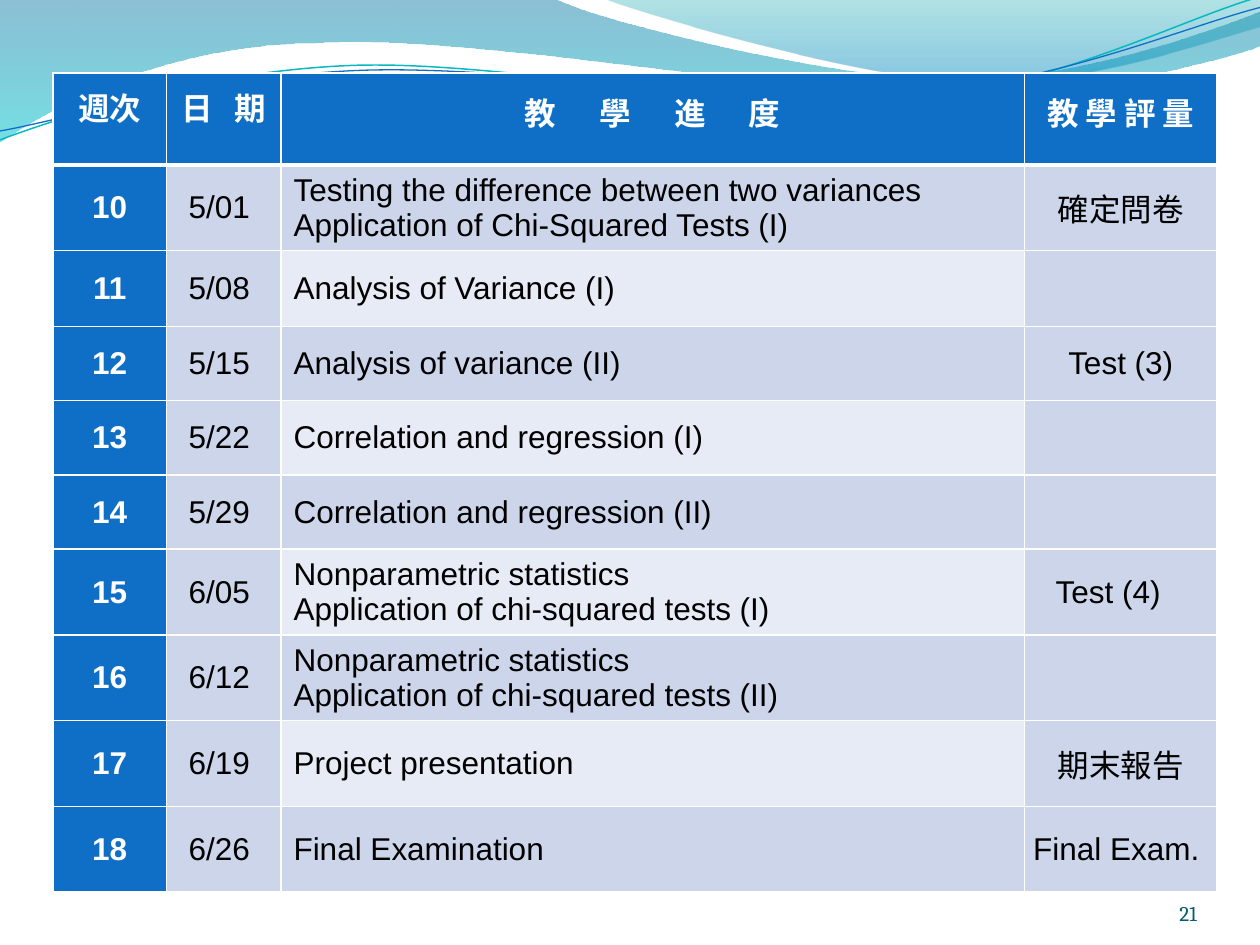
"""Build a course schedule slide with a wave header and a weekly table."""
import math
from dataclasses import dataclass

import lxml.etree
import pptx
import pptx.dml.color
import pptx.enum.text
import pptx.oxml
import pptx.oxml.ns
import pptx.util
from pptx.util import Inches

COLORS = {
    "header": "0F6FC6", "band": "CCD5EA", "light": "E7EBF5",
    "white": "FFFFFF", "text": "000000", "number": "045D75",
    "teal_line": "0AB8BF", "blue_line": "0F6FC6",
}
ALIGN = pptx.enum.text.PP_ALIGN
ANCHOR = pptx.enum.text.MSO_ANCHOR


@dataclass
class Stop:
    position: float
    color: str
    alpha: int


@dataclass
class Ribbon:
    segments: list
    stops: tuple


@dataclass
class WaveLine:
    segments: list
    center: tuple
    color: str
    width: float


@dataclass
class Heading:
    text: str
    leading: int
    gap: float = 0


@dataclass
class Week:
    number: str
    date: str
    topics: tuple
    assessment: str = ""
    right_margin: float = 0.01


RIBBONS = [
    Ribbon([(0, -0.01), (4.4, -0.01),
            (4.76, 0.17, 6.64, 0.63, 7.58, 0.63), (8.53, 0.63, 9.58, 0.26, 10, 0.09),
            (10.01, 0.36), (9.83, 0.44, 8.7, 0.76, 7.46, 0.75),
            (6.22, 0.75, 3.82, 0.28, 2.57, 0.34), (1.29, 0.35, 0.46, 0.83, -0.01, 1.13)],
           (Stop(0, "0074A1", 45), Stop(1, "00C6CF", 55))),
    Ribbon([(4.79, -0.01), (5.09, 0.11, 6.82, 0.62, 7.69, 0.65),
            (8.56, 0.69, 9.61, 0.32, 10, 0.21), (10, 0)],
           (Stop(0, "00A1A9", 30), Stop(0.8, "008BBF", 45))),
]
WAVE_ROTATION = 357.3
WAVE_LINES = [
    WaveLine([(0, 1.11), (0.48, 0.93, 1.58, 0.57, 2.77, 0.52),
              (3.95, 0.47, 5.93, 0.89, 7.13, 0.8), (8.33, 0.71, 9.38, 0.15, 9.98, -0.02)],
             (4.99, 0.58), COLORS["teal_line"], 0.85),
    WaveLine([(0, 1.04), (0.47, 0.96, 1.64, 0.61, 2.83, 0.56),
              (4.03, 0.51, 5.97, 0.83, 7.17, 0.75), (8.36, 0.67, 9.41, 0.21, 10, 0.06)],
             (5, 0.59), COLORS["blue_line"], 0.75),
]
HEADINGS = [Heading("週次", 12), Heading("日 期", 12, 4.1),
            Heading("教 學 進 度", 18, 10.3), Heading("教 學 評 量", 18)]
WEEKS = [
    Week("10", "5/01 ", ("Testing the difference between two variances",
                         "Application of Chi-Squared Tests (I)"), "確定問卷"),
    Week("11", "5/08 ", ("Analysis of Variance (I)",)),
    Week("12", "5/15 ", ("Analysis of variance (II)",), "Test (3)"),
    Week("13", "5/22 ", ("Correlation and regression (I)",)),
    Week("14", "5/29 ", ("Correlation and regression (II)",)),
    Week("15", "6/05 ", ("Nonparametric statistics\nApplication of chi-squared tests (I)",),
         "Test (4)", 0.21),
    Week("16", "6/12 ", ("Nonparametric statistics\nApplication of chi-squared tests (II)",)),
    Week("17", "6/19 ", ("Project presentation",), "期末報告"),
    Week("18", "6/26 ", ("Final Examination",), "Final Exam. "),
]
COLUMN_WIDTHS = [0.9, 0.91, 5.9, 1.53]
ROW_HEIGHTS = [0.73, 0.68, 0.6] + [0.59] * 3 + [0.68] * 4


def rgb(color: str) -> pptx.dml.color.RGBColor:
    return pptx.dml.color.RGBColor.from_string(color)


def turn(point: tuple, center: tuple, degrees: float) -> tuple:
    angle = math.radians(degrees)
    dx, dy = point[0] - center[0], point[1] - center[1]
    return (center[0] + dx * math.cos(angle) - dy * math.sin(angle),
            center[1] + dx * math.sin(angle) + dy * math.cos(angle))


def add_outline(slide, segments: list, close: bool, center: tuple = (0, 0),
                rotation: float = 0):
    """Draw line and cubic segments as one freeform turned about its center."""
    points = [turn(segment[i:i + 2], center, -rotation)
              for segment in segments for i in range(0, len(segment), 2)]
    start, *others = [(Inches(x), Inches(y)) for x, y in points]
    builder = slide.shapes.build_freeform(*start)
    builder.add_line_segments(others, close=close)
    outline = builder.convert_to_shape()
    qn = pptx.oxml.ns.qn
    lines = iter(list(outline._element.iter(qn("a:lnTo"))))
    for segment in segments[1:]:
        first = next(lines)
        if len(segment) == 6:
            curve = lxml.etree.Element(qn("a:cubicBezTo"))
            first.addprevious(curve)
            for line in (first, next(lines), next(lines)):
                curve.append(line[0])
                line.getparent().remove(line)
    outline.shadow.inherit = False
    outline.rotation = rotation
    return outline


def add_ribbon(slide, ribbon: Ribbon) -> None:
    shape = add_outline(slide, ribbon.segments, True)
    shape.line.fill.background()
    shape.fill.gradient()
    shape.fill.gradient_angle = 270
    for target, stop in zip(shape.fill.gradient_stops, ribbon.stops):
        target.position = stop.position
        target.color.rgb = rgb(stop.color)
    colors = shape._element.spPr.iter(pptx.oxml.ns.qn("a:srgbClr"))
    for color, stop in zip(list(colors), ribbon.stops):
        color.append(pptx.oxml.parse_xml(
            f'<a:alpha {pptx.oxml.ns.nsdecls("a")} val="{stop.alpha * 1000}"/>'))


def add_wave_line(slide, wave: WaveLine) -> None:
    shape = add_outline(slide, wave.segments, False, wave.center, WAVE_ROTATION)
    shape.fill.background()
    shape.line.color.rgb = rgb(wave.color)
    shape.line.width = pptx.util.Pt(wave.width)


def add_run(paragraph, text: str, color: str, bold: bool = False,
            size: float = 18, font: str = "Arial", gap: float = 0) -> None:
    run = paragraph.add_run()
    run.text = text
    run.font.size = pptx.util.Pt(size)
    run.font.name = font
    run.font.bold = bold
    run.font.color.rgb = rgb(color)
    if gap:
        run._r.get_or_add_rPr().set("spc", str(round(gap * 100)))


def style_cell(cell, fill: str, top: int = 1, bottom: int = 1, right: float = 0.01) -> None:
    properties = cell._tc.get_or_add_tcPr()
    for side, width in zip("LRTB", (1, 1, top, bottom)):
        properties.append(pptx.oxml.parse_xml(
            f'<a:ln{side} {pptx.oxml.ns.nsdecls("a")} w="{width * 12700}"><a:solidFill>'
            f'<a:srgbClr val="{COLORS["white"]}"/></a:solidFill></a:ln{side}>'))
    cell.fill.solid()
    cell.fill.fore_color.rgb = rgb(fill)
    cell.vertical_anchor = ANCHOR.MIDDLE
    cell.margin_left, cell.margin_right = Inches(0.01), Inches(right)
    cell.margin_top = cell.margin_bottom = 0


def write_cell(cell, paragraphs: tuple, color: str, bold: bool = False,
               indent: float = 0) -> None:
    frame = cell.text_frame
    for index, text in enumerate(paragraphs):
        paragraph = frame.add_paragraph() if index else frame.paragraphs[0]
        if indent:
            paragraph._p.get_or_add_pPr().set("marL", str(Inches(indent)))
        else:
            paragraph.alignment = ALIGN.CENTER
        for number, line in enumerate(text.split("\n")):
            if number:
                paragraph.add_line_break()
            add_run(paragraph, line, color, bold)


def write_heading(cell, heading: Heading) -> None:
    style_cell(cell, COLORS["header"], bottom=3)
    paragraph = cell.text_frame.paragraphs[0]
    paragraph.alignment = ALIGN.CENTER
    paragraph.line_spacing = pptx.util.Pt(heading.leading)
    add_run(paragraph, heading.text[:-1], COLORS["white"], True, gap=heading.gap)
    add_run(paragraph, heading.text[-1], COLORS["white"], True)


def write_week(cells: list, week: Week, index: int) -> None:
    topic_fill = COLORS["light" if index % 2 else "band"]
    fills = [COLORS["header"], COLORS["band"], topic_fill, COLORS["band"]]
    margins = [0.01, 0.01, 0.01, week.right_margin]
    for cell, fill, margin in zip(cells, fills, margins):
        style_cell(cell, fill, top=1 if index else 3, right=margin)
    write_cell(cells[0], (week.number,), COLORS["white"], True)
    write_cell(cells[1], (week.date,), COLORS["text"])
    write_cell(cells[2], week.topics, COLORS["text"], indent=0.09)
    if week.assessment:
        write_cell(cells[3], (week.assessment,), COLORS["text"])


def add_schedule(slide) -> None:
    schedule = slide.shapes.add_table(
        len(ROW_HEIGHTS), len(COLUMN_WIDTHS), Inches(0.42), Inches(0.58),
        Inches(sum(COLUMN_WIDTHS)), Inches(sum(ROW_HEIGHTS))).table
    schedule.horz_banding = False
    for column, width in zip(schedule.columns, COLUMN_WIDTHS):
        column.width = Inches(width)
    for row, height in zip(schedule.rows, ROW_HEIGHTS):
        row.height = Inches(height)
    heading_row, *week_rows = [list(row.cells) for row in schedule.rows]
    for cell, heading in zip(heading_row, HEADINGS):
        write_heading(cell, heading)
    for index, (cells, week) in enumerate(zip(week_rows, WEEKS)):
        write_week(cells, week, index)


def add_page_number(slide, number: str) -> None:
    frame = slide.shapes.add_textbox(
        Inches(8.67), Inches(6.95), Inches(0.83), Inches(0.4)).text_frame
    frame.word_wrap = True
    frame.vertical_anchor = ANCHOR.BOTTOM
    frame.margin_left = frame.margin_right = frame.margin_top = frame.margin_bottom = 0
    frame.paragraphs[0].alignment = ALIGN.RIGHT
    add_run(frame.paragraphs[0], number, COLORS["number"], size=12, font="Cambria")


def main() -> None:
    deck = pptx.Presentation()
    deck.slide_width, deck.slide_height = Inches(10), Inches(7.5)
    slide = deck.slides.add_slide(deck.slide_layouts[6])
    for ribbon in RIBBONS:
        add_ribbon(slide, ribbon)
    for wave in WAVE_LINES:
        add_wave_line(slide, wave)
    add_page_number(slide, "21")
    add_schedule(slide)
    deck.save("out.pptx")


if __name__ == "__main__":
    main()
